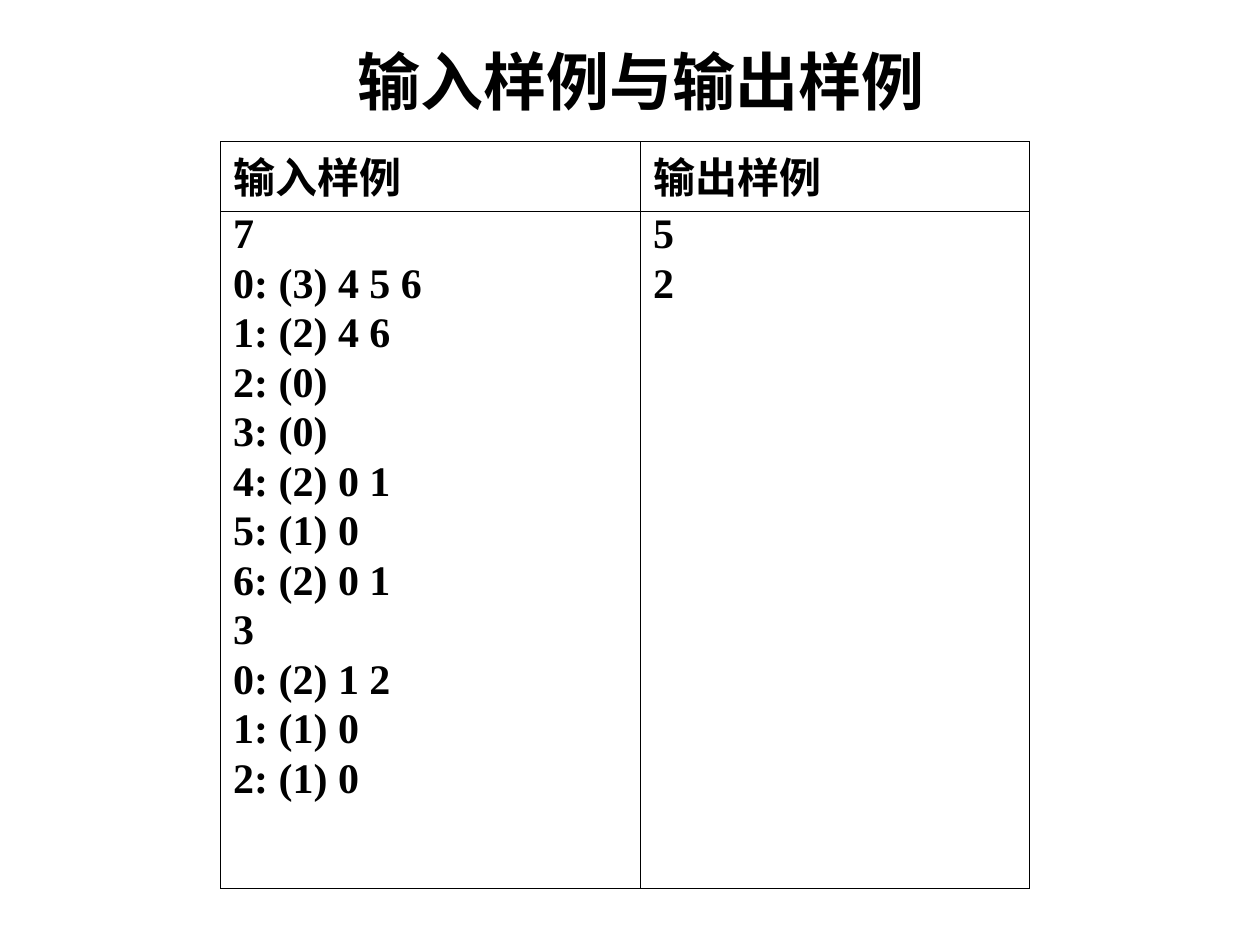
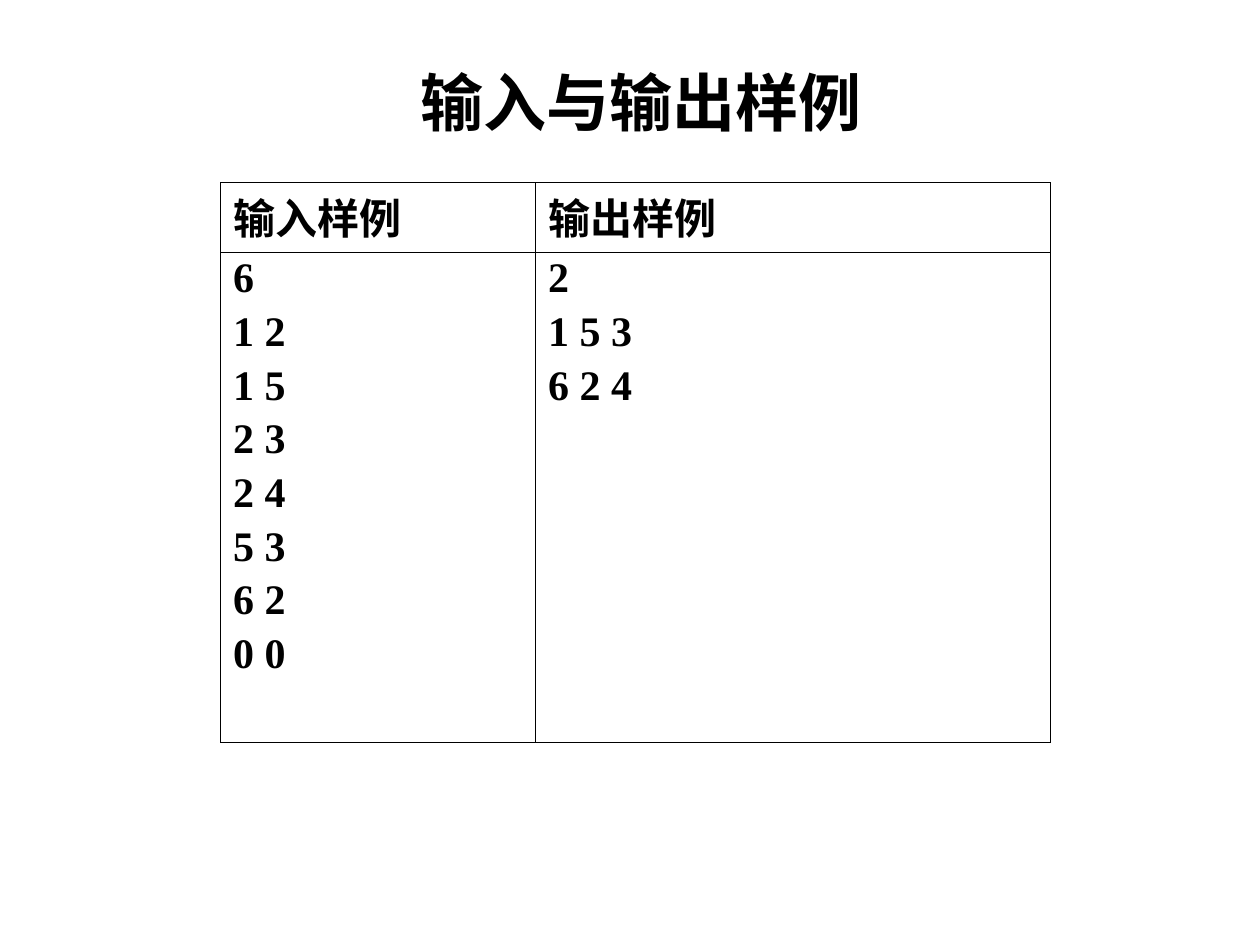
import pptx
import pptx.dml.color
import pptx.enum.text
import pptx.oxml
import pptx.oxml.ns
import pptx.util

PX = 7620  # EMU per px, 120 px to the inch
BLACK = pptx.dml.color.RGBColor(0, 0, 0)
ALIGN = pptx.enum.text.PP_ALIGN
ANCHOR = pptx.enum.text.MSO_ANCHOR
FACE = {"name": "Times New Roman", "bold": True}
OUTER, INNER = 0.5, 0.23  # border widths in points

HEAD = {"size": pptx.util.Pt(36), **FACE}
BODY = {"size": pptx.util.Pt(24), **FACE}
LABELS = [["输入样例"], ["输出样例"]]

GRAPH_IN = ["7", "0: (3) 4 5 6", "1: (2) 4 6", "2: (0)", "3: (0)",
            "4: (2) 0 1", "5: (1) 0", "6: (2) 0 1",
            "3", "0: (2) 1 2", "1: (1) 0", "2: (1) 0"]
GRAPH_OUT = ["5", "2"]
PAIRS_IN = ["6", "1 2", "1 5", "2 3", "2 4", "5 3", "6 2", "0 0"]
PAIRS_OUT = ["2", "1 5 3", "6 2 4"]


def px(n):
    return pptx.util.Emu(n * PX)


def style(item, values):
    for key, value in values.items():
        setattr(item, key, value)


def write(frame, lines, font, para):
    """Put one paragraph per line in the frame."""
    for i, line in enumerate(lines):
        p = frame.paragraphs[0] if i == 0 else frame.add_paragraph()
        p.text = line
        style(p, para)
        p.space_before = pptx.util.Pt(6 if i else 0)
        style(p.font, font)
        p.font.color.rgb = BLACK


def title(slide, text, top):
    box = slide.shapes.title
    style(box, {"left": px(100), "top": px(top),
                "width": px(1020), "height": px(100)})
    frame = box.text_frame
    style(frame, {"word_wrap": True, "vertical_anchor": ANCHOR.TOP,
                  "auto_size": pptx.enum.text.MSO_AUTO_SIZE.NONE})
    write(frame, [text], HEAD, {"alignment": ALIGN.CENTER, "line_spacing": 1.2})


def border(cell, sides):
    """Draw black cell edges; sides maps an edge tag to its width."""
    props = cell._tc.get_or_add_tcPr()
    for i, (side, width) in enumerate(sides.items()):
        line = pptx.oxml.parse_xml(
            f'<a:{side} {pptx.oxml.ns.nsdecls("a")} w="{int(width * 12700)}">'
            f'<a:solidFill><a:srgbClr val="{BLACK}"/></a:solidFill></a:{side}>')
        props.insert(i, line)


def table(slide, top, cols, rows, cells, space):
    """Header row plus one tall row; space is the tall row's line spacing."""
    grid = slide.shapes.add_table(
        len(rows), len(cols), px(210), px(top), px(sum(cols)), px(sum(rows))).table
    style(grid, {"first_row": False, "horz_banding": False})
    for col, width in zip(grid.columns, cols):
        col.width = px(width)
    for row, height in zip(grid.rows, rows):
        row.height = px(height)
    for r, line in enumerate([LABELS, cells]):
        for c, lines in enumerate(line):
            cell = grid.cell(r, c)
            cell.fill.background()
            border(cell, {"lnL": INNER if c else OUTER, "lnR": OUTER if c else INNER,
                          "lnT": INNER if r else OUTER, "lnB": OUTER if r else INNER})
            write(cell.text_frame, lines, BODY,
                  {"alignment": ALIGN.JUSTIFY, "line_spacing": space if r else 0.93})


def main():
    deck = pptx.Presentation()
    style(deck, {"slide_width": px(1200), "slide_height": px(900)})
    layout = deck.slide_layouts.get_by_name("Title Only")

    # Adjacency list sample
    slide = deck.slides.add_slide(layout)
    title(slide, "输入样例与输出样例", 20)
    table(slide, 135, [400, 370], [60, 645], [GRAPH_IN, GRAPH_OUT], 0.84)

    # Pair list sample
    slide = deck.slides.add_slide(layout)
    title(slide, "输入与输出样例", 40)
    table(slide, 174, [300, 490], [60, 467], [PAIRS_IN, PAIRS_OUT], 0.93)

    deck.save("out.pptx")


if __name__ == "__main__":
    main()
